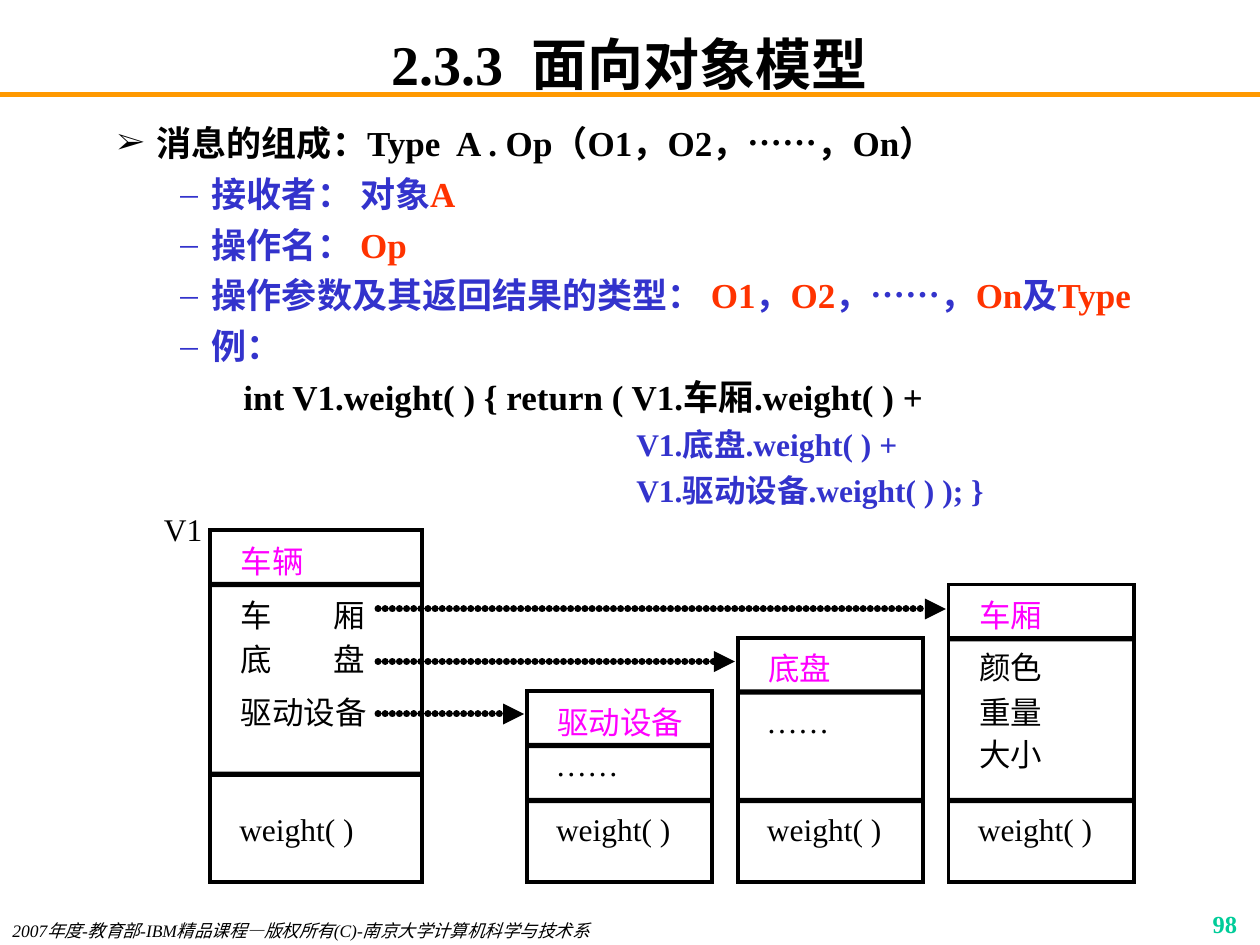
from dataclasses import dataclass

from lxml.etree import SubElement
from pptx import Presentation
from pptx.dml.color import RGBColor
from pptx.enum.shapes import MSO_CONNECTOR as Connector, MSO_SHAPE as Shape
from pptx.enum.text import MSO_ANCHOR as Anchor, MSO_AUTO_SIZE as AutoSize, PP_ALIGN as Align
from pptx.oxml.ns import qn
from pptx.util import Pt


@dataclass(frozen=True)
class Theme:
    latin: str = "Times New Roman"
    cjk: str = "Noto Sans CJK SC"
    black: str = "000000"
    white: str = "FFFFFF"
    blue: str = "3333CC"
    red: str = "FF3300"
    magenta: str = "FF00FF"
    orange: str = "FF9900"
    green: str = "00CC99"
    title: int = 32
    body: int = 20
    label: int = 18
    number: int = 14
    footer: int = 10


THEME = Theme()


def color(value):
    return RGBColor.from_string(value)


def write(paragraph, text, size=THEME.label, ink=THEME.black, bold=False, italic=False,
          latin=THEME.latin, align=None):
    """Add one formatted run to the paragraph."""
    if align is not None:
        paragraph.alignment = align
    run = paragraph.add_run()
    run.text = text
    font = run.font
    font.size, font.bold, font.italic, font.name = Pt(size), bold, italic, latin
    font.color.rgb = color(ink)
    SubElement(font._element, qn("a:ea"), typeface=THEME.cjk)


def text_frame(slide, box, margins=(7.2, 3.6), wrap=True):
    frame = slide.shapes.add_textbox(*map(Pt, box)).text_frame
    frame.word_wrap = wrap
    frame.margin_left = frame.margin_right = Pt(margins[0])
    frame.margin_top = frame.margin_bottom = Pt(margins[1])
    return frame


def add_label(slide, left, top, text, width=None, **style):
    """Place a one-line label, by default one full-width cell for each character."""
    width = width or THEME.label * len(text)
    frame = text_frame(slide, (left, top, width, 21.6), margins=(0, 0), wrap=False)
    frame.auto_size = AutoSize.SHAPE_TO_FIT_TEXT
    write(frame.paragraphs[0], text, align=Align.CENTER, **style)


def add_rectangle(slide, box, fill, line_width=0):
    rectangle = slide.shapes.add_shape(Shape.RECTANGLE, *map(Pt, box))
    rectangle.shadow.inherit = False
    rectangle.fill.solid()
    rectangle.fill.fore_color.rgb = color(fill)
    if line_width:
        rectangle.line.color.rgb = color(THEME.black)
        rectangle.line.width = Pt(line_width)
        SubElement(rectangle.line._get_or_add_ln(), qn("a:miter"), lim="800000")
    else:
        rectangle.line.fill.background()


def add_line(slide, start, end, ink, width):
    line = slide.shapes.add_connector(Connector.STRAIGHT, *map(Pt, (*start, *end)))
    line.line.color.rgb = color(ink)
    line.line.width = Pt(width)
    SubElement(line._element.spPr, qn("a:effectLst"))
    return line


def add_reference(slide, start, end):
    """Draw a dotted arrow from an attribute to the object it refers to."""
    outline = add_line(slide, start, end, THEME.black, 4).line._get_or_add_ln()
    outline.set("cap", "rnd")
    dots = SubElement(outline, qn("a:custDash"))
    SubElement(dots, qn("a:ds"), d="100000", sp="2000")
    SubElement(outline, qn("a:tailEnd"), type="triangle")


def add_title(slide, box):
    title = slide.shapes.title
    title.left, title.top, title.width, title.height = map(Pt, box)
    frame = title.text_frame
    frame.auto_size, frame.vertical_anchor = AutoSize.NONE, Anchor.MIDDLE
    frame.margin_top = frame.margin_bottom = 0
    write(frame.paragraphs[0], "2.3.3  面向对象模型", size=THEME.title, bold=True, align=Align.CENTER)


def format_paragraph(paragraph, level, left, hanging=0, bullet=None, bullet_percent=100,
                     ink=THEME.black):
    paragraph.level = level
    properties = paragraph._p.get_or_add_pPr()
    properties.set("marL", str(Pt(left)))
    properties.set("indent", str(Pt(-hanging)))
    if bullet:
        SubElement(SubElement(properties, qn("a:buClr")), qn("a:srgbClr"), val=ink)
        SubElement(properties, qn("a:buSzPct"), val=str(bullet_percent * 1000))
        SubElement(properties, qn("a:buFont"), typeface=THEME.latin)
        SubElement(properties, qn("a:buChar"), char=bullet)
    else:
        SubElement(properties, qn("a:buNone"))


def add_message_outline(slide, box):
    black, blue, red = THEME.black, THEME.blue, THEME.red
    heading = dict(level=0, left=58.5, hanging=22.5, bullet="➢", bullet_percent=85)
    part = dict(level=1, left=90, hanging=18, bullet="–", ink=blue)
    code = dict(level=2, left=108)
    continuation = dict(level=3, left=332.5)
    outline = [
        (heading, [("消息的组成：Type  A . Op（O1，O2，……，On）", black)]),
        (part, [("接收者： 对象", blue), ("A", red)]),
        (part, [("操作名： ", blue), ("Op", red)]),
        (part, [("操作参数及其返回结果的类型： ", blue), ("O1", red), ("，", blue), ("O2", red),
                ("，……，", blue), ("On", red), ("及", blue), ("Type", red)]),
        (part, [("例：", blue)]),
        (code, [("int V1.weight( ) { return ( V1.车厢.weight( ) +", black)]),
        (continuation, [("V1.底盘.weight( ) +", blue)]),
        (continuation, [("V1.驱动设备.weight( ) ); }", blue)]),
    ]
    frame = text_frame(slide, box)
    for index, (layout, runs) in enumerate(outline):
        paragraph = frame.add_paragraph() if index else frame.paragraphs[0]
        size = THEME.label if layout is continuation else THEME.body
        if index:
            paragraph.space_before = Pt(size / 4)
        format_paragraph(paragraph, **layout)
        for text, ink in runs:
            write(paragraph, text, size=size, ink=ink, bold=True)


def add_object(slide, box, name, attributes, method_height=48):
    """Draw an object: name, attributes as (text, x, y) offsets, and its method."""
    left, top, width, height = box
    bottom, inset = top + height, 17.5
    add_rectangle(slide, box, THEME.white, line_width=2.25)
    for divider in (top + 29.5, bottom - method_height):
        add_rectangle(slide, (left, divider, width, 3), THEME.black)
    add_label(slide, left + inset, top + 6.5, name, ink=THEME.magenta, latin=THEME.cjk)
    for text, x, y in attributes:
        latin = THEME.latin if text == "……" else THEME.cjk
        add_label(slide, left + inset + x, top + y, text, latin=latin)
    add_label(slide, left + inset - 1, bottom - 41, "weight( )", width=66)


def add_object_diagram(slide, box):
    left, top, width, height = box
    bottom = top + height
    add_label(slide, left - 0.5, top - 11.5, "V1", width=22.5)
    vehicle = [("车", 0, 37.5), ("厢", 53, 37.5), ("底", 0, 62.5), ("盘", 53, 62.5),
               ("驱动设备", 0, 93)]
    add_object(slide, (left + 26, top, 121, height), "车辆", vehicle, method_height=63)
    components = [
        ("驱动设备", [("……", -1, 31)]),
        ("底盘", [("……", -1, 36.5)]),
        ("车厢", [("颜色", 0, 36.5), ("重量", 0, 62), ("大小", 0, 86)]),
    ]
    component_width, step = 106, 120.5
    first_left = left + width - component_width - 2 * step
    for index, (name, attributes) in enumerate(components):
        component_left = first_left + index * step
        component_height = 109 + 30.5 * index
        add_object(slide, (component_left, bottom - component_height, component_width, component_height),
                   name, attributes)
        arrow_y = top + 105 - 30 * index
        add_reference(slide, (left + 122, arrow_y), (component_left - 1.5, arrow_y))


def add_footer(slide, box):
    left, top, width, height = box
    source = text_frame(slide, (left, top + 6, 396, height))
    write(source.paragraphs[0], "2007年度-教育部-IBM精品课程—版权所有(C)-南京大学计算机科学与技术系",
          size=THEME.footer, italic=True)
    number = text_frame(slide, (left + width - 150, top, 150, height))
    write(number.paragraphs[0], "98", size=THEME.number, ink=THEME.green, bold=True, align=Align.RIGHT)


def main():
    deck = Presentation()
    deck.slide_width, deck.slide_height = Pt(720), Pt(540)
    slide = deck.slides.add_slide(deck.slide_layouts[5])
    add_line(slide, (0, 54), (720, 54), THEME.orange, 3)
    add_title(slide, (54, 18, 612, 36))
    add_footer(slide, (0, 516, 714, 18))
    add_message_outline(slide, (24, 66, 642, 240))
    add_object_diagram(slide, (94, 303, 554, 201))
    deck.save("out.pptx")


if __name__ == "__main__":
    main()
